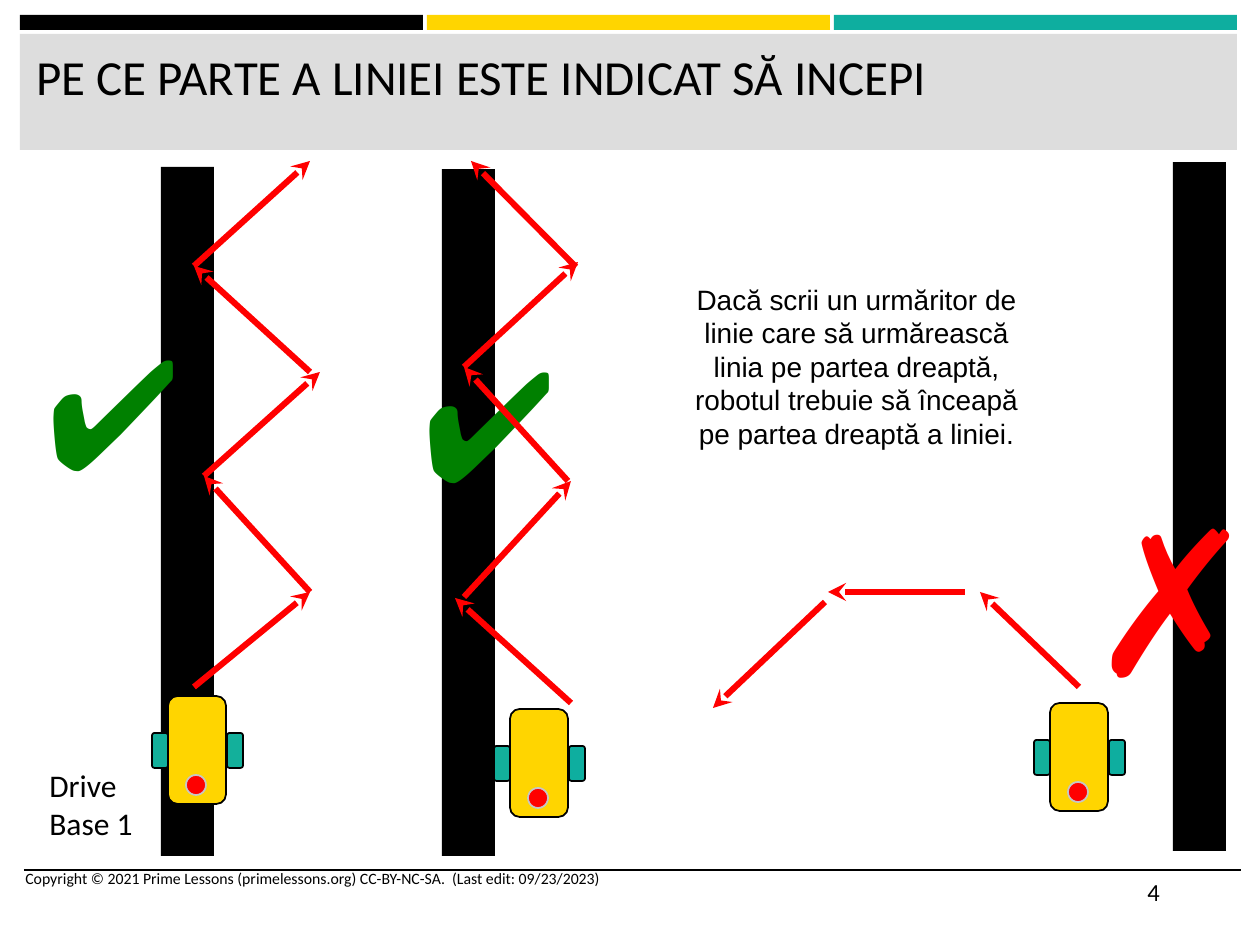
from dataclasses import dataclass

from lxml import etree
from pptx import Presentation
from pptx.dml.color import RGBColor
from pptx.enum.shapes import MSO_CONNECTOR, MSO_SHAPE
from pptx.enum.text import MSO_ANCHOR, PP_ALIGN
from pptx.oxml.ns import qn
from pptx.util import Inches, Pt

PX = 914400 // 126
STRAIGHT = MSO_CONNECTOR.STRAIGHT
RECTANGLE, ROUNDED, OVAL = MSO_SHAPE.RECTANGLE, MSO_SHAPE.ROUNDED_RECTANGLE, MSO_SHAPE.OVAL
LEFT, CENTER = PP_ALIGN.LEFT, PP_ALIGN.CENTER
TOP = MSO_ANCHOR.TOP


@dataclass(frozen=True)
class Theme:
    black: RGBColor = RGBColor.from_string("000000")
    yellow: RGBColor = RGBColor.from_string("FFD500")
    teal: RGBColor = RGBColor.from_string("0EAE9F")
    wheel: RGBColor = RGBColor.from_string("13B09B")
    band: RGBColor = RGBColor.from_string("DDDDDD")
    red: RGBColor = RGBColor.from_string("FF0000")
    green: RGBColor = RGBColor.from_string("008000")
    silver: RGBColor = RGBColor.from_string("C6C6C6")
    heading: str = "Calibri"
    body: str = "Arial"
    title_size: int = 28
    label_size: int = 18
    body_size: int = 16
    number_size: int = 14
    footer_size: int = 9
    check_size: int = 88
    cross_size: int = 115
    arrow_width: float = 3.5
    outline_width: float = 1


theme = Theme()


def add_box(shapes, kind, box, fill, outline=None):
    shape = shapes.add_shape(kind, *(value * PX for value in box))
    shape.shadow.inherit = False
    shape.fill.solid()
    shape.fill.fore_color.rgb = fill
    if outline is None:
        shape.line.fill.background()
    else:
        shape.line.color.rgb = outline
        shape.line.width = Pt(theme.outline_width)


def add_line(shapes, ends, color, width, arrow=True):
    """Draw a straight line through (x1, y1, x2, y2), with an arrowhead at the second point."""
    connector = shapes.add_connector(STRAIGHT, *(value * PX for value in ends))
    connector.line.color.rgb = color
    connector.line.width = Pt(width)
    if arrow:
        line = connector.line._get_or_add_ln()
        etree.SubElement(line, qn("a:tailEnd"), type="stealth")
    etree.SubElement(connector.element.spPr, qn("a:effectLst"))


presentation = Presentation()
presentation.slide_width, presentation.slide_height = Inches(10), Inches(7.5)
slide = presentation.slides.add_slide(presentation.slide_layouts[5])
shapes = slide.shapes

# Header and footer rule
for index, color in enumerate((theme.black, theme.yellow, theme.teal)):
    add_box(shapes, RECTANGLE, (20 + 407 * index, 15, 403, 15), color)
add_box(shapes, RECTANGLE, (20, 34, 1217, 116), theme.band)
add_line(shapes, (24, 870, 1241, 870), theme.black, theme.outline_width, arrow=False)

# The title goes in front of the header band
title = shapes.title
title.element.getparent().append(title.element)
title.left, title.top, title.width, title.height = (value * PX for value in (24, 40, 1206, 103))
title.text_frame.text = "PE CE PARTE A LINIEI ESTE INDICAT SĂ INCEPI"
title.text_frame.vertical_anchor = TOP
title_paragraph = title.text_frame.paragraphs[0]
title_paragraph.alignment = LEFT
title_paragraph.font.name = theme.heading
title_paragraph.font.size = Pt(theme.title_size)
title_paragraph.font.color.rgb = theme.black

# Tracks
for left, top, height in ((161, 167, 689), (442, 169, 687), (1173, 162, 689)):
    add_box(shapes, RECTANGLE, (left, top, 53, height), theme.black)

# Robot paths
left_path = (
    (194, 687, 310, 592),
    (310, 592, 204, 476),
    (204, 476, 320, 372),
    (310, 372, 194, 266),
    (194, 266, 310, 161),
)
middle_path = (
    (571, 703, 455, 598),
    (464, 597, 571, 481),
    (464, 367, 578, 262),
    (576, 267, 471, 161),
)
wrong_path = (
    (1079, 687, 980, 592),
    (965, 592, 828, 592),
    (825, 602, 713, 708),
)
left_group = shapes.add_group_shape()
for ends in left_path:
    add_line(left_group.shapes, ends, theme.red, theme.arrow_width)
for ends in middle_path + wrong_path:
    add_line(shapes, ends, theme.red, theme.arrow_width)

# Robots: body, two wheels and a colour sensor
robots = ((168, 696, theme.wheel), (510, 709, theme.teal), (1050, 703, theme.teal))
for left, top, right_wheel in robots:
    parts = shapes.add_group_shape().shapes
    add_box(parts, ROUNDED, (left, top, 58, 108), theme.yellow, theme.black)
    add_box(parts, ROUNDED, (left + 59, top + 37, 16, 35), right_wheel, theme.black)
    add_box(parts, ROUNDED, (left - 16, top + 37, 16, 35), theme.wheel, theme.black)
    add_box(parts, OVAL, (left + 18, top + 79, 20, 20), theme.red, theme.silver)

# Texts: box, wording, font, size, colour, alignment
texts = (
    ((13, 863, 672, 45),
     "Copyright © 2021 Prime Lessons (primelessons.org) CC-BY-NC-SA.  (Last edit: 09/23/2023)",
     theme.heading, theme.footer_size, theme.black, LEFT),
    ((1135, 871, 106, 50), "4", theme.heading, theme.number_size, theme.black, LEFT),
    ((410, 321, 135, 199), "✔", theme.body, theme.check_size, theme.green, LEFT),
    ((1076, 469, 135, 257), "✗", theme.body, theme.cross_size, theme.red, LEFT),
    ((34, 309, 135, 199), "✔", theme.body, theme.check_size, theme.green, LEFT),
    ((675, 276, 363, 183),
     "Dacă scrii un urmăritor de linie care să urmărească linia pe partea dreaptă, "
     "robotul trebuie să înceapă pe partea dreaptă a liniei.",
     theme.body, theme.body_size, theme.black, CENTER),
    ((37, 760, 125, 89), "Drive Base 1", theme.heading, theme.label_size, theme.black, LEFT),
)
for box, wording, font_name, size, color, alignment in texts:
    text_frame = shapes.add_textbox(*(value * PX for value in box)).text_frame
    text_frame.word_wrap = True
    text_frame.text = wording
    paragraph = text_frame.paragraphs[0]
    paragraph.alignment = alignment
    font = paragraph.runs[0].font
    font.name, font.size = font_name, Pt(size)
    font.color.rgb = color

# This step of the middle path crosses in front of the check mark
add_line(shapes, (568, 481, 464, 367), theme.red, theme.arrow_width)

presentation.save("out.pptx")
